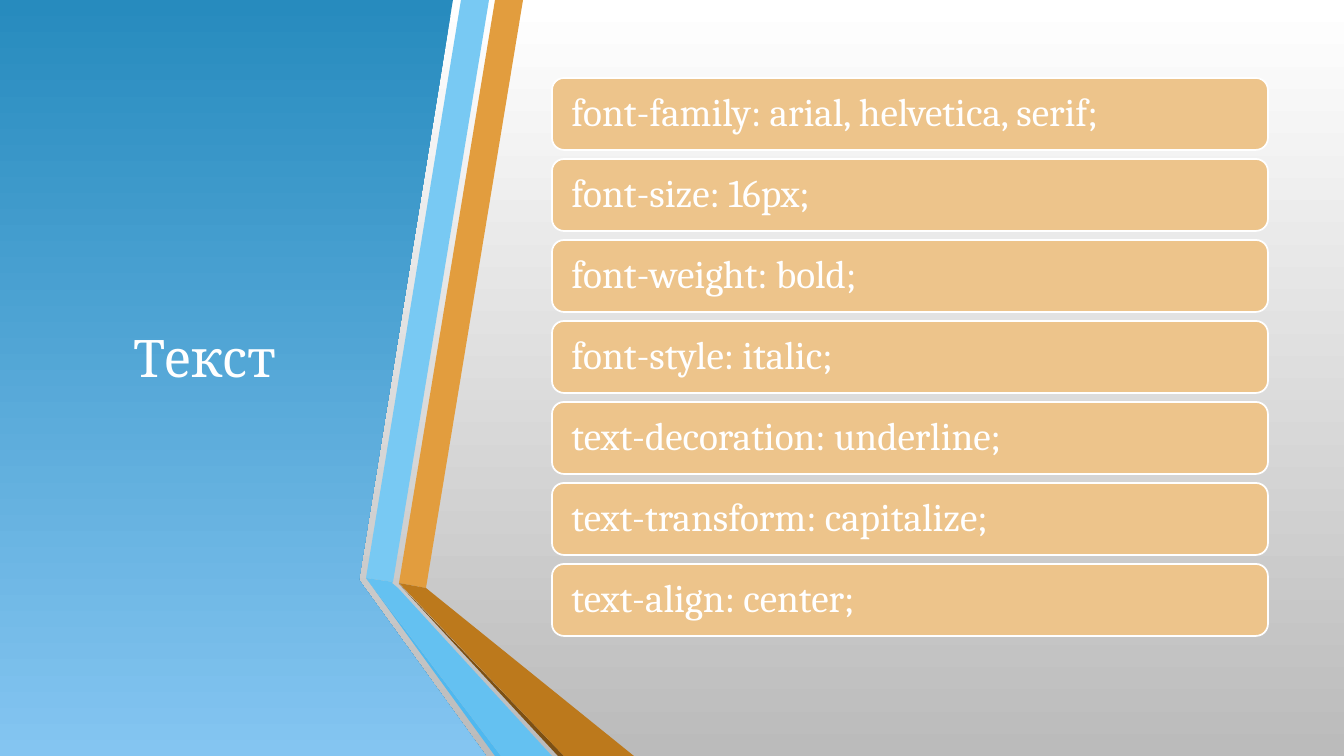
import pptx
import pptx.util
import pptx.dml.color
import pptx.enum.shapes
import pptx.enum.text

SCALE = 914400 / 100.8
WIDE, HIGH = 1344, 756
FONT = "Cambria"
WHITE = "FFFFFF"
PANEL = [(0, 0), (453, 0), (359, 580), (486, 756), (0, 756)]
BANDS = [
    ("E29D3E", [(399, 583), (426, 588), (523, 0), (495, 0)]),
    ("78C9F3", [(489, 0), (461, 0), (366, 578), (393, 582)]),
    ("4FB8EF", [(366, 578), (495, 756), (501, 756)]),
    ("7D5013", [(399, 584), (558, 756), (564, 756)]),
    ("BC791C", [(399, 583), (564, 756), (634, 756), (426, 588)]),
    ("64C1F1", [(552, 756), (398, 588), (392, 583), (393, 582), (366, 578), (501, 756)]),
]
RULES = [
    "font-family: arial, helvetica, serif;",
    "font-size: 16px;",
    "font-weight: bold;",
    "font-style: italic;",
    "text-decoration: underline;",
    "text-transform: capitalize;",
    "text-align: center;",
]


def px(size):
    """Turn pixels into EMU."""
    return pptx.util.Emu(round(size * SCALE))


def tint(code):
    """Turn a hex string into a colour."""
    return pptx.dml.color.RGBColor.from_string(code)


def paint(fill, code):
    """Give a fill one solid colour."""
    fill.solid()
    fill.fore_color.rgb = tint(code)


def fade(fill, top, base):
    """Give a fill a gradient that runs from top to base."""
    fill.gradient()
    fill.gradient_angle = 270
    for stop, code in zip(fill.gradient_stops, (top, base)):
        stop.color.rgb = tint(code)


def outline(slide, points):
    """Add a closed outline without line or shadow."""
    start, *rest = points
    build = slide.shapes.build_freeform(*start, scale=SCALE)
    build.add_line_segments(rest, close=True)
    shape = build.convert_to_shape()
    shape.shadow.inherit = False
    shape.line.fill.background()
    return shape


def write(frame, text, size, align):
    """Write one white paragraph, centred in height."""
    frame.text = text
    frame.word_wrap = True
    frame.auto_size = pptx.enum.text.MSO_AUTO_SIZE.NONE
    frame.vertical_anchor = pptx.enum.text.MSO_ANCHOR.MIDDLE
    para = frame.paragraphs[0]
    para.alignment = align
    para.font.name = FONT
    para.font.size = pptx.util.Pt(size)
    para.font.color.rgb = tint(WHITE)
    return para


def head(slide, text):
    """Place the title on top of the panel."""
    title = slide.shapes.title
    title.left, title.top, title.width, title.height = map(px, (59, 76, 291, 562))
    write(title.text_frame, text, 37, pptx.enum.text.PP_ALIGN.CENTER)
    title.element.getparent().append(title.element)


def card(slide, top, text):
    """Add one rounded card with its rule."""
    kind = pptx.enum.shapes.MSO_SHAPE.ROUNDED_RECTANGLE
    shape = slide.shapes.add_shape(kind, *map(px, (552, top, 716, 72)))
    shape.shadow.inherit = False
    paint(shape.fill, "EDC48B")
    shape.line.color.rgb = tint(WHITE)
    shape.line.width = pptx.util.Pt(1.25)
    frame = shape.text_frame
    frame.margin_left = frame.margin_right = px(16)
    para = write(frame, text, 28, pptx.enum.text.PP_ALIGN.LEFT)
    para.line_spacing = 0.9


def main():
    """Build and save the slide."""
    deck = pptx.Presentation()
    deck.slide_width, deck.slide_height = px(WIDE), px(HIGH)
    slide = deck.slides.add_slide(deck.slide_layouts[5])
    fade(slide.background.fill, WHITE, "BBBBBB")
    fade(outline(slide, PANEL).fill, "278BBE", "84C5F1")
    head(slide, "Текст")
    for code, points in BANDS:
        paint(outline(slide, points).fill, code)
    for row, text in enumerate(RULES):
        card(slide, 78 + 81 * row, text)
    deck.save("out.pptx")


main()
